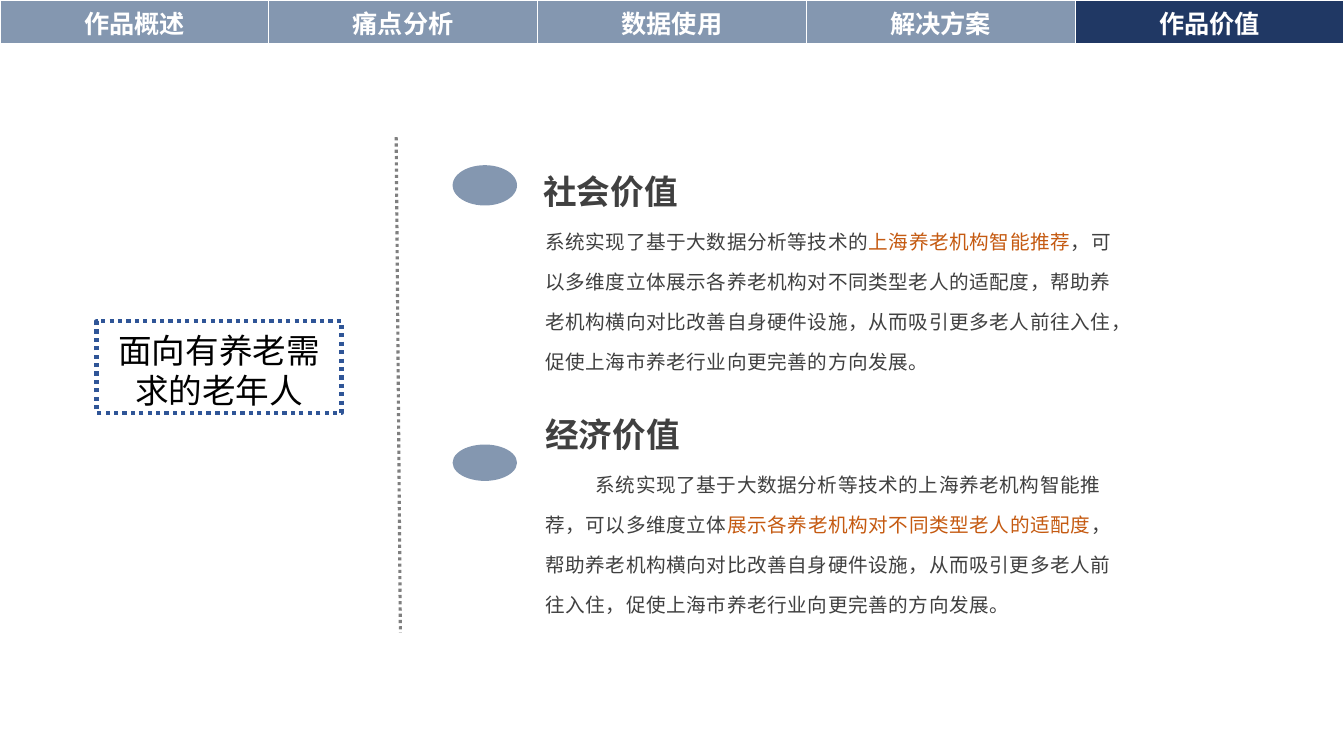
from lxml import etree
from pptx import Presentation
from pptx.dml.color import RGBColor
from pptx.enum import dml, shapes, text
from pptx.oxml import ns
from pptx.util import Pt

FONT = "Noto Sans CJK SC"
WHITE = RGBColor(0xFF, 0xFF, 0xFF)
BLACK = RGBColor(0, 0, 0)
SLATE = RGBColor(0x84, 0x97, 0xB0)
NAVY = RGBColor(0x20, 0x38, 0x64)
BLUE = RGBColor(0x2F, 0x55, 0x97)
GREY = RGBColor(0x7F, 0x7F, 0x7F)
INK = RGBColor(0x40, 0x40, 0x40)
ORANGE = RGBColor(0xC5, 0x5A, 0x11)

CHAPTERS = ["作品概述", "痛点分析", "数据使用", "解决方案", "作品价值"]
SOCIAL = [
    ("系统实现了基于大数据分析等技术的", INK),
    ("上海养老机构智能推荐", ORANGE),
    ("，可以多维度立体展示各养老机构对不同类型老人的适配度，帮助养老机构横向对比改善自身硬件设施，"
     "从而吸引更多老人前往入住，促使上海市养老行业向更完善的方向发展。", INK),
]
ECONOMIC = [
    ("系统实现了基于大数据分析等技术的上海养老机构智能推荐，可以多维度立体", INK),
    ("展示各养老机构对不同类型老人的适配度", ORANGE),
    ("，帮助养老机构横向对比改善自身硬件设施，从而吸引更多老人前往入住，"
     "促使上海市养老行业向更完善的方向发展。", INK),
]


def write(frame, runs, size, bold=False, align=text.PP_ALIGN.LEFT, line=None,
          indent=0, spacing=0):
    """Fill a text frame with one paragraph of (wording, colour) runs."""
    frame.word_wrap = True
    paragraph = frame.paragraphs[0]
    properties = paragraph._p.get_or_add_pPr()
    properties.set("marL", "0")
    properties.set("indent", str(Pt(indent)))
    etree.SubElement(properties, ns.qn("a:buNone"))
    paragraph.alignment = align
    paragraph.space_before = Pt(0)
    if line:
        paragraph.line_spacing = Pt(line)
    for wording, colour in runs:
        run = paragraph.add_run()
        run.text = wording
        run.font.size = Pt(size)
        run.font.bold = bold
        run.font.color.rgb = colour
        run.font.name = FONT
        details = run._r.get_or_add_rPr()
        details.set("lang", "zh-CN")
        if spacing:
            details.set("spc", str(round(spacing * 100)))
        etree.SubElement(details, ns.qn("a:ea"), typeface=FONT)


def place(holder, left, top, width, height, anchor=text.MSO_ANCHOR.TOP, drop=0):
    """Move a placeholder and set its margins, with its text lowered by drop."""
    holder.left, holder.top = Pt(left), Pt(top)
    holder.width, holder.height = Pt(width), Pt(height)
    frame = holder.text_frame
    frame.auto_size = text.MSO_AUTO_SIZE.NONE
    frame.vertical_anchor = anchor
    frame.margin_left = frame.margin_right = Pt(7.2)
    frame.margin_top, frame.margin_bottom = Pt(3.6 + drop), Pt(3.6)
    return frame


def border(cell):
    """Draw white borders round a table cell, heavier at the bottom."""
    properties = cell._tc.get_or_add_tcPr()
    sides = [("a:lnL", 1), ("a:lnR", 1), ("a:lnT", 1), ("a:lnB", 3)]
    for position, (side, weight) in enumerate(sides):
        edge = etree.Element(ns.qn(side), w=str(Pt(weight)))
        fill = etree.SubElement(edge, ns.qn("a:solidFill"))
        etree.SubElement(fill, ns.qn("a:srgbClr"), val=str(WHITE))
        properties.insert(position, edge)


def navigation(slide, left, top, width, height):
    """Add the chapter bar with the last chapter highlighted."""
    bar = slide.shapes.add_table(1, len(CHAPTERS), Pt(left), Pt(top),
                                 Pt(width), Pt(height)).table
    for column, chapter in enumerate(CHAPTERS):
        bar.columns[column].width = Pt(width / len(CHAPTERS))
        cell = bar.cell(0, column)
        cell.fill.solid()
        cell.fill.fore_color.rgb = NAVY if chapter == CHAPTERS[-1] else SLATE
        cell.vertical_anchor = text.MSO_ANCHOR.MIDDLE
        cell.margin_top = cell.margin_bottom = Pt(3)
        border(cell)
        write(cell.text_frame, [(chapter, WHITE)], 18, bold=True,
              align=text.PP_ALIGN.CENTER)


def audience(slide, left, top, width, height):
    """Add the dotted audience box as the slide title."""
    title = slide.shapes.title
    frame = place(title, left, top, width, height, text.MSO_ANCHOR.MIDDLE, drop=4)
    title.line.color.rgb = BLUE
    title.line.width = Pt(3)
    title.line.dash_style = dml.MSO_LINE.ROUND_DOT
    write(frame, [("面向有养老需求的老年人", BLACK)], 24,
          align=text.PP_ALIGN.CENTER, line=28.6)


def divider(slide, left, top, width, height):
    """Add the slightly slanted dotted divider."""
    rule = slide.shapes.add_connector(shapes.MSO_CONNECTOR.STRAIGHT, Pt(left), Pt(top),
                                      Pt(left + width), Pt(top + height))
    rule.line.color.rgb = GREY
    rule.line.width = Pt(2.25)
    rule.line.dash_style = dml.MSO_LINE.ROUND_DOT
    etree.SubElement(rule._element.spPr, ns.qn("a:effectLst"))


def value(slide, left, top, width, height, heading, story, holders,
          marker_drop, marker_height, heading_left=59, indent=0):
    """Add one value: oval marker, heading and explanation."""
    marker = slide.shapes.add_shape(shapes.MSO_SHAPE.OVAL, Pt(left), Pt(top + marker_drop),
                                    Pt(46), Pt(marker_height))
    marker.shadow.inherit = False
    marker.fill.solid()
    marker.fill.fore_color.rgb = SLATE
    marker.line.fill.background()
    heading_holder, story_holder = (slide.placeholders[index] for index in holders)
    frame = place(heading_holder, left + heading_left, top, 148, 36, drop=2)
    write(frame, [(heading, INK)], 24, bold=True, line=28.6)
    frame = place(story_holder, left + 59, top + 31, width - 59, height - 31, drop=1)
    write(frame, story, 14, line=28.6, indent=indent, spacing=0.4)


def main():
    """Build and save the slide."""
    deck = Presentation()
    deck.slide_width, deck.slide_height = Pt(960), Pt(540)
    slide = deck.slides.add_slide(deck.slide_layouts.get_by_name("Comparison"))
    navigation(slide, 0, 0, 960, 30.24)
    audience(slide, 69, 229.5, 175, 65.5)
    divider(slide, 283, 98, 3, 354)
    value(slide, 323.3, 116.5, 489.5, 153.5, "社会价值", SOCIAL, (1, 2),
          marker_drop=1.5, marker_height=28.8, heading_left=57.6)
    value(slide, 323.3, 290.5, 480, 151, "经济价值", ECONOMIC, (3, 4),
          marker_drop=27, marker_height=26, indent=36)
    deck.save("out.pptx")


if __name__ == "__main__":
    main()
